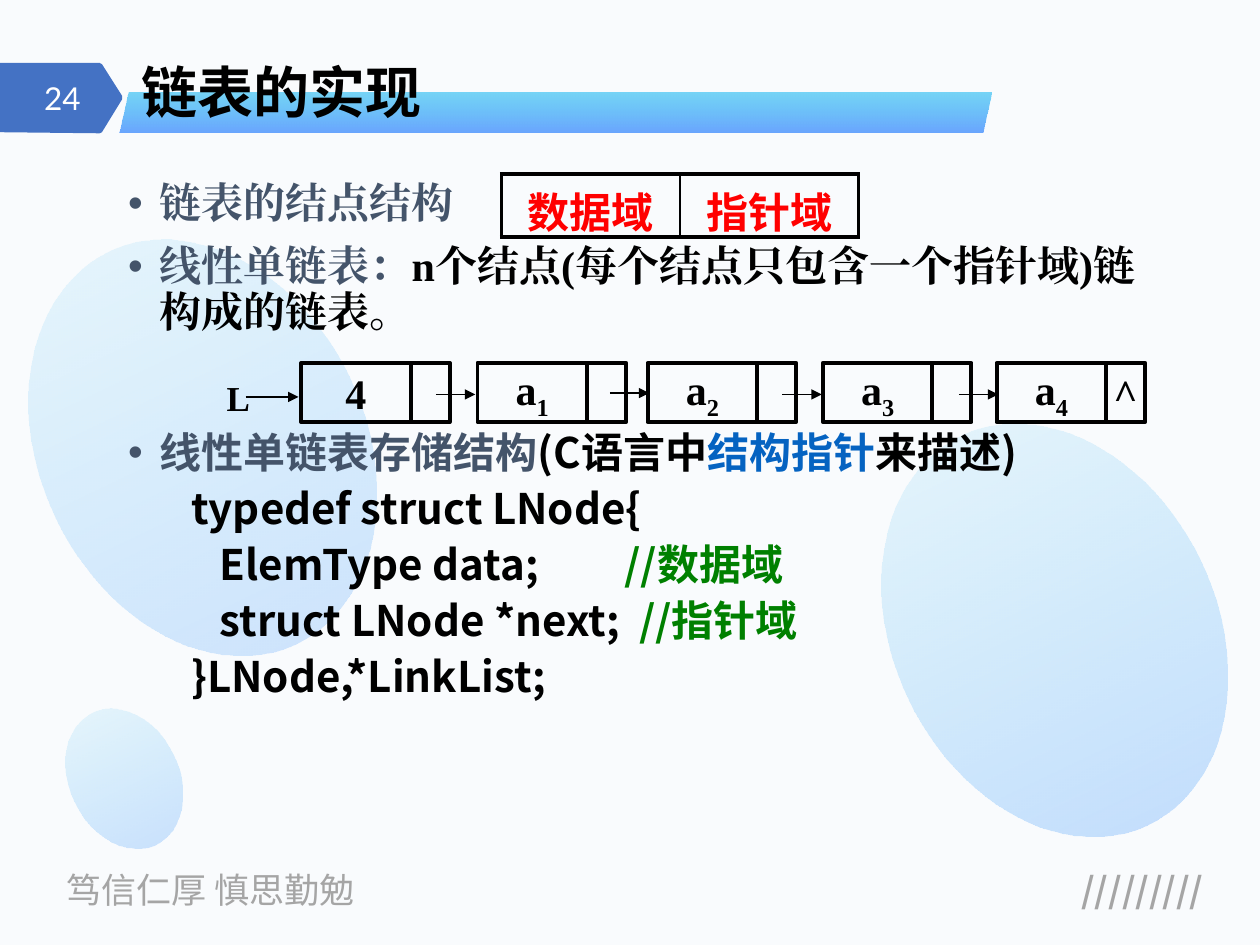
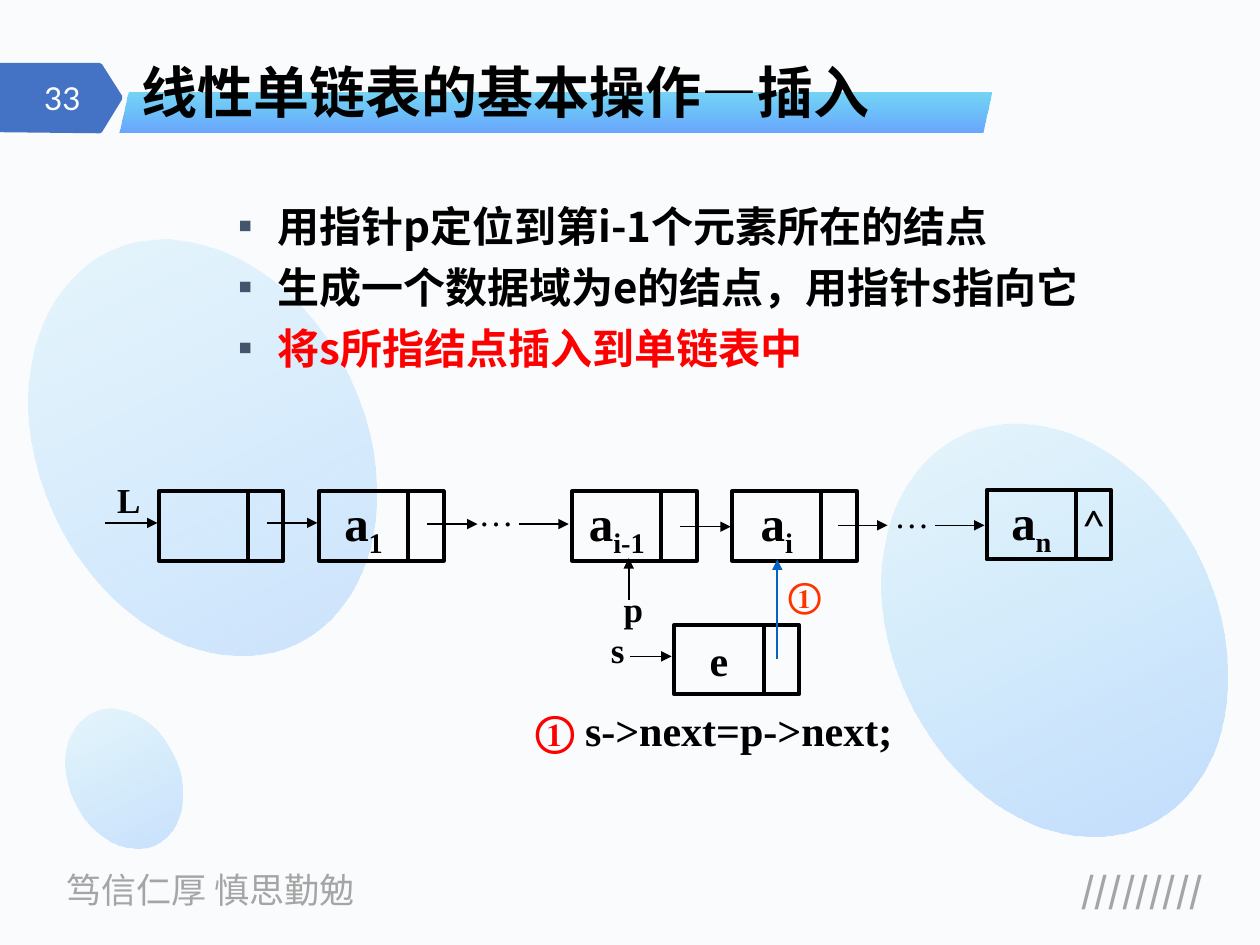
from lxml import etree
from pptx import Presentation
from pptx.dml.color import RGBColor
from pptx.enum.shapes import MSO_CONNECTOR, MSO_SHAPE
from pptx.enum.text import MSO_ANCHOR, PP_ALIGN
from pptx.oxml.ns import qn
from pptx.util import Pt

RECT, OVAL, SLANT = MSO_SHAPE.RECTANGLE, MSO_SHAPE.OVAL, MSO_SHAPE.PARALLELOGRAM
LEFT, MID, RIGHT = PP_ALIGN.LEFT, PP_ALIGN.CENTER, PP_ALIGN.RIGHT
TOP, CENTER, BOTTOM = MSO_ANCHOR.TOP, MSO_ANCHOR.MIDDLE, MSO_ANCHOR.BOTTOM
STRAIGHT = MSO_CONNECTOR.STRAIGHT


class Theme:
    paper, black, white, gray = "F9FBFD", "000000", "FFFFFF", "A5A5A5"
    slate, blue, link = "44546A", "4472C4", "0563C1"
    sky, azure = "00B0F0", "3385FF"
    red, coral, green = "FF0000", "FF3300", "008000"
    sans, serif, plain = "Noto Sans CJK SC", "Times New Roman", "Lato"
    title, node, body, small, page = 32, 28, 24, 20, 18


def write(para, runs, size, name=Theme.serif, bold=True, align=LEFT,
          gap=0, line=None, left=0, hang=0, bullet=None):
    para.alignment = align
    para.space_before = Pt(gap)
    if line:
        para.line_spacing = line
    props = para._p.get_or_add_pPr()
    props.set("marL", str(Pt(left)))
    props.set("indent", str(Pt(-hang)))
    if bullet:
        tint = etree.SubElement(props, qn("a:buClr"))
        etree.SubElement(tint, qn("a:srgbClr"), val=Theme.slate)
        etree.SubElement(props, qn("a:buFont"), typeface="Arial")
        etree.SubElement(props, qn("a:buChar"), char=bullet)
    font = para.font
    font.size, font.bold, font.name = Pt(size), bold, name
    etree.SubElement(props.find(qn("a:defRPr")), qn("a:ea"), typeface=name)
    for text, color, *base in runs:
        run = para.add_run()
        run.text = text
        run.font.color.rgb = RGBColor.from_string(color)
        if base:
            run.font._element.set("baseline", str(base[0] * 1000))


def area(slide, spot, anchor=TOP):
    frame = slide.shapes.add_textbox(*map(Pt, spot)).text_frame
    frame.word_wrap = True
    frame.vertical_anchor = anchor
    return frame


deck = Presentation()
deck.slide_width, deck.slide_height = Pt(720), Pt(540)
back = deck.slide_master.background.fill
back.solid()
back.fore_color.rgb = RGBColor.from_string(Theme.paper)

blobs = [
    (OVAL, (39.6, 403.2, 62.6, 83.5), 154.4, Theme.azure, 24, Theme.sky, 8),
    (OVAL, (510.5, 236.9, 184.3, 246.2), 154.4, Theme.azure, 27, Theme.sky, 8),
    (OVAL, (23, 131.8, 185.8, 247.7), 154.4, Theme.azure, 22, Theme.sky, 8),
    (SLANT, (68.4, 52.6, 498.2, 23), 0, Theme.sky, 52, Theme.azure, 73),
]
flag = [(0, 36), (57, 36), (58.3, 36.7), (69.8, 54.8), (69.8, 56.8),
        (58.3, 75.6), (57, 76.2), (0, 75.6)]

slides = []
for page, head in [("24", "链表的实现"), ("33", "线性单链表的基本操作—插入")]:
    slide = deck.slides.add_slide(deck.slide_layouts[5])
    slides.append(slide)
    write(area(slide, (31, 492.5, 194.4, 31.7)).paragraphs[0],
          [("笃信仁厚 慎思勤勉", Theme.gray)], Theme.small, Theme.sans, False)
    write(area(slide, (552.2, 492.5, 142.6, 31.7)).paragraphs[0],
          [("/////////", Theme.gray)], Theme.small, Theme.sans, align=RIGHT)
    for kind, spot, turn, start, thin, stop, faint in blobs:
        blob = slide.shapes.add_shape(kind, *map(Pt, spot))
        blob.shadow.inherit = False
        blob.rotation = turn
        blob.line.fill.background()
        if kind == SLANT:
            blob.adjustments[0] = 0.233
        blob.fill.gradient()
        blob.fill.gradient_angle = 270
        for mark, color in zip(blob.fill.gradient_stops, (start, stop)):
            mark.color.rgb = RGBColor.from_string(color)
        tints = list(blob.element.spPr.iter(qn("a:srgbClr")))
        for tint, part in zip(tints, (thin, faint)):
            etree.SubElement(tint, qn("a:alpha"), val=str(part * 1000))
    edge = [(Pt(x), Pt(y)) for x, y in flag]
    pen = slide.shapes.build_freeform(*edge[0])
    pen.add_line_segments(edge[1:], close=True)
    tag = pen.convert_to_shape()
    tag.shadow.inherit = False
    tag.fill.solid()
    tag.fill.fore_color.rgb = RGBColor.from_string(Theme.blue)
    tag.line.fill.background()
    write(area(slide, (7.2, 41.8, 46, 28.8), CENTER).paragraphs[0],
          [(page, Theme.white)], Theme.page, Theme.plain, False, RIGHT)
    title = slide.shapes.title
    title.left, title.top, title.width, title.height = map(Pt, (73.4, 28.8, 493.2, 46.8))
    title.text_frame.vertical_anchor = BOTTOM
    write(title.text_frame.paragraphs[0], [(head, Theme.black)],
          Theme.title, Theme.sans, line=0.9)
    title.element.getparent().append(title.element)

build, insert = slides

item = dict(left=18, hang=18, bullet="•")
code = dict(left=36, gap=6, name=Theme.sans)
points = [
    ([("链表的结点结构", Theme.slate)], item),
    ([("线性单链表：", Theme.slate),
      ("n个结点(每个结点只包含一个指针域)链构成的链表。", Theme.black)],
     item | dict(gap=10)),
    ([("线性单链表存储结构", Theme.slate), ("(C语言中", Theme.black),
      ("结构指针", Theme.link), ("来描述)", Theme.black)],
     item | dict(gap=55, name=Theme.sans)),
    ([("typedef struct LNode{", Theme.black)], code),
    ([("   ElemType data;         ", Theme.black), ("//数据域", Theme.green)], code),
    ([("   struct LNode *next;  ", Theme.black), ("//指针域", Theme.green)], code),
    ([("}LNode,*LinkList;", Theme.black)], code),
]
frame = area(build, (66.2, 100.8, 612, 360))
for i, (runs, form) in enumerate(points):
    para = frame.add_paragraph() if i else frame.paragraphs[0]
    write(para, runs, Theme.body, line=0.9, **form)

steps = [("用指针p定位到第i-1个元素所在的结点", Theme.black),
         ("生成一个数据域为e的结点，用指针s指向它", Theme.black),
         ("将s所指结点插入到单链表中", Theme.red)]
frame = area(insert, (92.9, 110.9, 612, 324))
for i, step in enumerate(steps):
    para = frame.add_paragraph() if i else frame.paragraphs[0]
    write(para, [step], Theme.body, Theme.sans, gap=6 if i else 0,
          left=58.5, hang=22.5, bullet="▪")

grid = build.shapes.add_table(1, 2, *map(Pt, (286.6, 99.4, 204, 36))).table
grid.first_row = grid.horz_banding = False
for i, word in enumerate(["数据域", "指针域"]):
    cell = grid.cell(0, i)
    cell.fill.background()
    write(cell.text_frame.paragraphs[0], [(word, Theme.red)],
          Theme.body, Theme.sans, align=MID)
    props = cell._tc.get_or_add_tcPr()
    thick = [1 if i else 2.25, 2.25 if i else 1, 2.25, 2.25]
    for k, (side, width) in enumerate(zip("LRTB", thick)):
        rule = etree.Element(qn("a:ln" + side), w=str(Pt(width)))
        fill = etree.SubElement(rule, qn("a:solidFill"))
        etree.SubElement(fill, qn("a:srgbClr"), val=Theme.black)
        props.insert(k, rule)

large, tight = (62.6, 22.3, 33.8), (51.1, 20.2, 39.6)
nodes = [
    (build, 172.1, 207.4, large, Theme.body, "4", "", ""),
    (build, 272.9, 207.4, large, Theme.body, "a", "1", ""),
    (build, 370.1, 207.4, large, Theme.body, "a", "2", ""),
    (build, 470.2, 207.4, large, Theme.body, "a", "3", ""),
    (build, 569.5, 207.4, large, Theme.body, "a", "4", "^"),
    (insert, 90.7, 280.8, tight, Theme.node, "", "", ""),
    (insert, 182.2, 280.8, tight, Theme.node, "a", "1", ""),
    (insert, 326.9, 280.8, tight, Theme.node, "a", "i-1", ""),
    (insert, 418.3, 280.8, tight, Theme.node, "a", "i", ""),
    (insert, 563.8, 280.1, tight, Theme.node, "a", "n", "^"),
    (insert, 385.2, 357.1, tight, Theme.body, "e", "", ""),
]
for slide, x, y, (wide, slim, tall), size, name, sub, end in nodes:
    runs = [(name, Theme.black), (sub, Theme.black, -25)]
    face = Theme.serif if slide is build else Theme.plain
    halves = [(x, wide, runs, size, Theme.serif, True),
              (x + wide, slim, [(end, Theme.black)], Theme.body, face, slide is build)]
    for start, width, runs, size, face, bold in halves:
        box = slide.shapes.add_shape(RECT, Pt(start), Pt(y), Pt(width), Pt(tall))
        box.shadow.inherit = False
        box.fill.background()
        box.line.color.rgb = RGBColor.from_string(Theme.black)
        box.line.width = Pt(2.25)
        runs = [run for run in runs if run[0]]
        if runs:
            box.text_frame.word_wrap = False
            box.text_frame.vertical_anchor = CENTER
            write(box.text_frame.paragraphs[0], runs, size, face, bold, MID)

labels = [
    (build, (122.4, 211.7, 30.2, 31), [("L", Theme.black)], Theme.small, True),
    (insert, (59.8, 270, 28, 31), [("L", Theme.black)], Theme.small, True),
    (insert, (266.4, 277.2, 54, 31), [("…", Theme.black)], Theme.small, False),
    (insert, (504, 278.6, 54, 31), [("…", Theme.black)], Theme.small, False),
    (insert, (349.2, 331.9, 30.2, 31), [("p", Theme.black)], Theme.small, True),
    (insert, (342, 355.7, 30.2, 31), [("s", Theme.black)], Theme.small, True),
    (insert, (443.5, 324, 36, 31.7), [("①", Theme.coral)], Theme.small, True),
    (insert, (298.8, 398.9, 230, 36),
     [("① ", Theme.red), ("s->next=p->next;", Theme.black)], Theme.body, True),
]
for slide, spot, runs, size, bold in labels:
    write(area(slide, spot).paragraphs[0], runs, size, bold=bold)

arrows = [(build, x, y, x + run, y, Theme.black, 0.75) for x, y, run in [
    (140.4, 226.8, 30.2), (249.1, 225.4, 22.5), (348.5, 224.6, 22.5),
    (447.1, 225.4, 22.5), (547.9, 225.4, 22.5)]]
arrows += [(insert, x, y, x + run, y, Theme.black, 0.75) for x, y, run in [
    (59.8, 298.8, 30.2), (152.6, 298.8, 28.8), (244.1, 299.5, 28.8),
    (296.6, 299.5, 28.4), (388.8, 301, 28.8), (478.8, 300.2, 28.4),
    (534.2, 300.2, 28.4), (360, 375.1, 23.8)]]
arrows += [(insert, 359.3, 342.7, 359.3, 319, Theme.black, 1),
           (insert, 444.2, 376.6, 444.2, 319.7, Theme.link, 1)]
for slide, *ends, color, width in arrows:
    link = slide.shapes.add_connector(STRAIGHT, *map(Pt, ends))
    link.line.color.rgb = RGBColor.from_string(color)
    link.line.width = Pt(width)
    props = link.element.spPr
    etree.SubElement(props.find(qn("a:ln")), qn("a:tailEnd"), type="triangle")
    etree.SubElement(props, qn("a:effectLst"))

deck.save("out.pptx")
